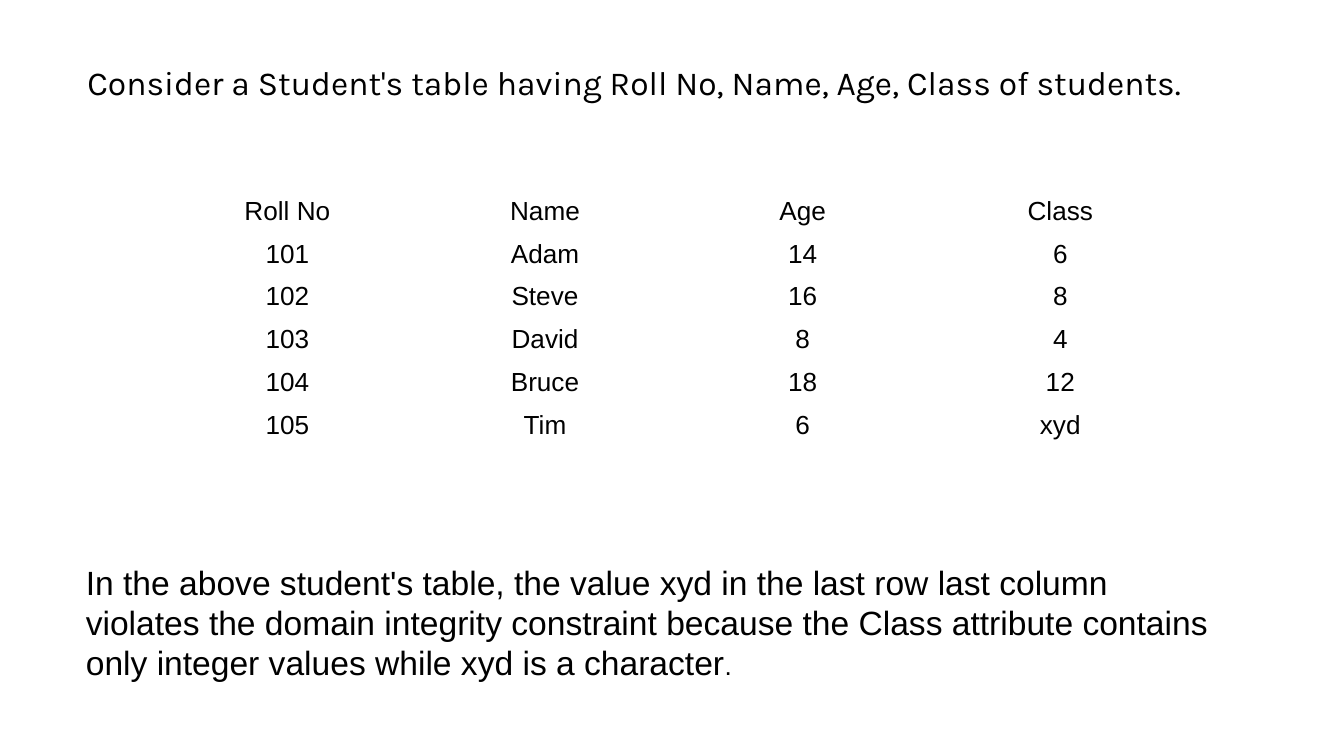
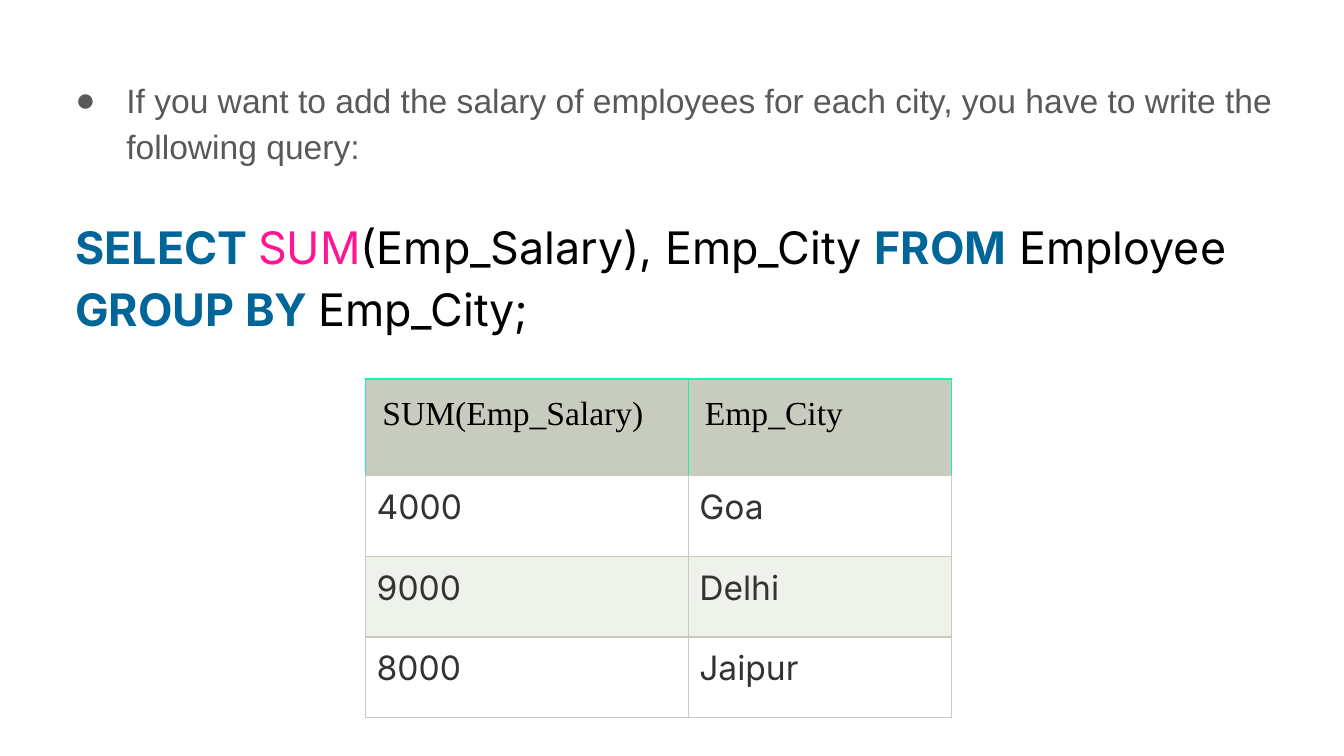
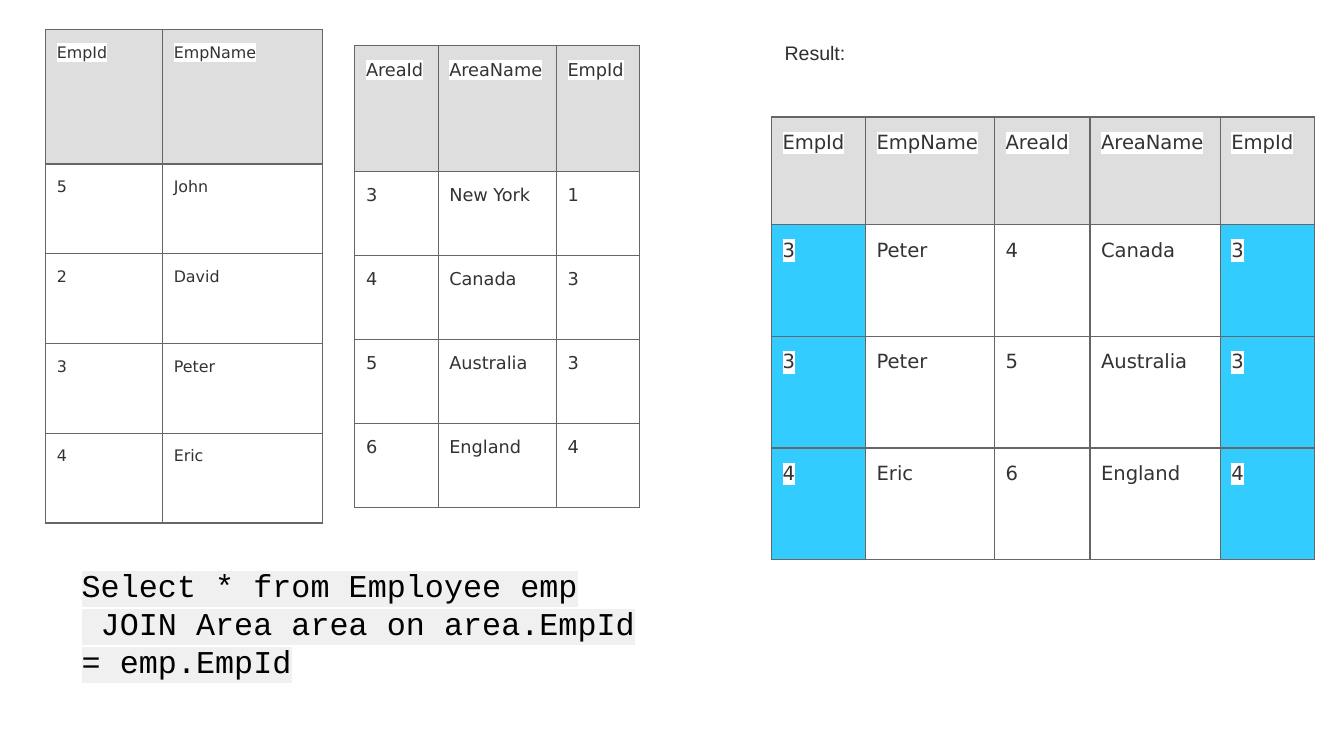
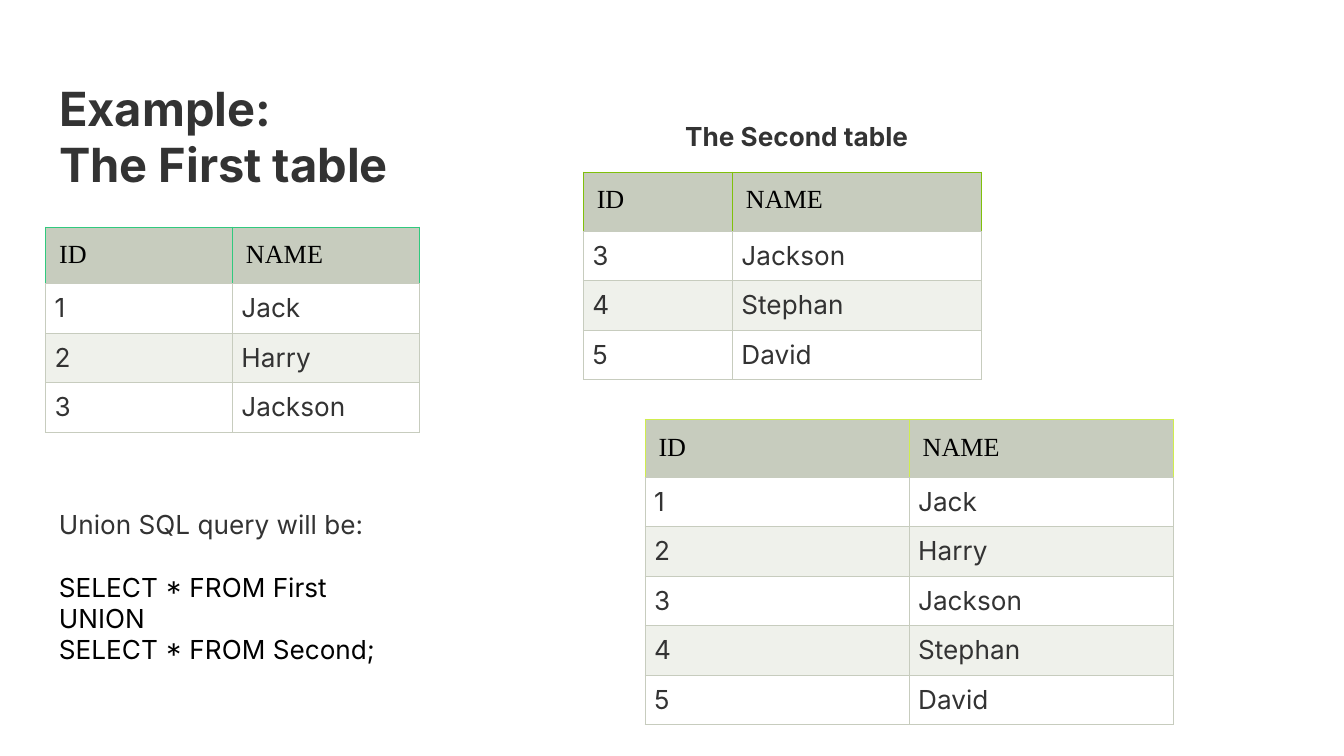
from lxml import etree
from pptx import Presentation
from pptx import util as u
from pptx.dml import color as dml
from pptx.enum import text as t
from pptx.oxml import ns

COLORS = {
    "black": "000000", "ink": "333333", "gray": "595959", "result": "2E2E2E",
    "white": "FFFFFF", "sage": "C7CCBE", "pale": "EFF1EB", "silver": "DEDEDE",
    "rule": "666666", "cyan": "33CCFF", "code": "F0F0F0",
    "keyword": "006699", "function": "FF1493",
    "mint": "20EEAC", "green": "30C97E", "lime": "80C00C", "yellow": "D0ED4E",
}
LEFT, CENTER, JUSTIFY = t.PP_ALIGN.LEFT, t.PP_ALIGN.CENTER, t.PP_ALIGN.JUSTIFY

deck = Presentation()
deck.slide_width, deck.slide_height = u.Inches(10), u.Inches(5.625)
unit = deck.slide_width / 100  # square grid, 100 columns across the slide


def grid(*cells):
    return [int(cell * unit) for cell in cells]


def write(para, words, font, size, color, bold=False, align=LEFT,
          spacing=1.0, before=0, mark=None):
    para.text = words
    para.alignment, para.line_spacing = align, spacing
    para.space_before = u.Pt(before)
    para.font.name, para.font.size, para.font.bold = font, u.Pt(size), bold
    para.font.color.rgb = dml.RGBColor.from_string(COLORS[color])
    if mark:
        for span in para.runs:
            highlight = etree.SubElement(span.font._element if hasattr(span.font, "_element")
                                         else span._r.get_or_add_rPr(), ns.qn("a:highlight"))
            etree.SubElement(highlight, ns.qn("a:srgbClr"), val=COLORS[mark])


# Slides and their placeholders
domain, salary, join, union = [deck.slides.add_slide(deck.slide_layouts[number])
                               for number in (1, 1, 6, 5)]
for page in (domain, salary):
    title = page.shapes.title.element
    title.getparent().remove(title)
intro, query, heading = domain.placeholders[1], salary.placeholders[1], union.shapes.title
for holder, place, inset in ((intro, (5.5, 4.1, 91.7, 7.1), 0.5),
                             (query, (3.4, 4.5, 93.2, 45.5), 1),
                             (heading, (3.4, 4.9, 93.2, 6.3), 1)):
    holder.left, holder.top, holder.width, holder.height = grid(*place)
    frame = holder.text_frame
    frame.auto_size, frame.vertical_anchor = t.MSO_AUTO_SIZE.NONE, t.MSO_ANCHOR.TOP
    frame.margin_top, frame.margin_bottom = grid(inset, inset)

# Domain example: opening sentence
para = intro.text_frame.paragraphs[0]
props = para._p.get_or_add_pPr()
props.set("marL", "0")
props.set("indent", "0")
etree.SubElement(props, ns.qn("a:buNone"))
write(para, "Consider a Student's table having Roll No, Name, Age, Class of students.",
      "Karla", 18, "black")

# Salary query: bullet, then two lines of SQL
para = query.text_frame.paragraphs[0]
props = para._p.get_or_add_pPr()
props.set("marL", str(u.Inches(0.5)))
props.set("indent", str(u.Inches(-0.38)))
bullet_color = etree.SubElement(props, ns.qn("a:buClr"))
etree.SubElement(bullet_color, ns.qn("a:srgbClr"), val=COLORS["gray"])
etree.SubElement(props, ns.qn("a:buChar"), char="●")
write(para, "If you want to add the salary of employees for each city, "
      "you have to write the following query:", "Arial", 18, "gray", spacing=1.15)

sql = [
    (24, [("SELECT ", "keyword"), ("SUM", "function"), ("(Emp_Salary), Emp_City ", "black"),
          ("FROM", "keyword"), (" Employee", "black")]),
    (0, [("GROUP BY ", "keyword"), ("Emp_City;", "black")]),
]
for before, spans in sql:
    para = query.text_frame.add_paragraph()
    props = para._p.get_or_add_pPr()
    props.set("marL", str(u.Inches(0.12)))
    props.set("indent", "0")
    etree.SubElement(props, ns.qn("a:buNone"))
    write(para, "", "Inter", 24, "black", align=JUSTIFY, spacing=1.15, before=before)
    for words, color in spans:
        span = para.add_run()
        span.text = words
        span.font.bold = color == "keyword"
        span.font.color.rgb = dml.RGBColor.from_string(COLORS[color])

# Union example: title
write(heading.text_frame.paragraphs[0], "Example:\vThe First table", "Inter", 25.2, "ink", bold=True)

# Table looks: (font, colour, fill, alignment, padding in points) for head and body
LOOKS = {
    "plain": dict(head=("Arial", "black", None, CENTER, 3.6),
                  body=("Arial", "black", None, CENTER, 3.6),
                  line=None, weight=0, spacing=1.0, mark=None),
    "salary": dict(head=("Times New Roman", "black", "sage", LEFT, 9),
                   body=("Inter", "ink", "white", JUSTIFY, 6),
                   line="sage", weight=0.75, spacing=1.0, mark=None),
    "union": dict(head=("Times New Roman", "black", "sage", LEFT, 7.2),
                  body=("Inter", "ink", "white", JUSTIFY, 4.8),
                  line="sage", weight=0.6, spacing=1.0, mark=None),
    "join": dict(head=("DejaVu Sans", "ink", "silver", LEFT, 6),
                 body=("DejaVu Sans", "ink", "white", LEFT, 6),
                 line="rule", weight=0.75, spacing=1.15, mark="white"),
}
people = [("1", "Jack"), ("2", "Harry"), ("3", "Jackson"), ("4", "Stephan"), ("5", "David")]

# Page, look, text size, head border, (left, top), column widths, (head, body) heights, rows
tables = [
    (domain, "plain", 14, None, (11.8, 14.1), [19.17] * 4, (3.2, 3.2),
     [("Roll No", "Name", "Age", "Class"), ("101", "Adam", "14", "6"),
      ("102", "Steve", "16", "8"), ("103", "David", "8", "4"),
      ("104", "Bruce", "18", "12"), ("105", "Tim", "6", "xyd")]),
    (salary, "salary", 18, "mint", (27.2, 28.2), [24, 19.6], (7.2, 6),
     [("SUM(Emp_Salary)", "Emp_City"), ("4000", "Goa"), ("9000", "Delhi"), ("8000", "Jaipur")]),
    (join, "join", 8.5, "rule", (3.4, 2.2), [8.7, 11.9], (10, 6.68),
     [("EmpId", "EmpName"), ("5", "John"), ("2", "David"), ("3", "Peter"), ("4", "Eric")]),
    (join, "join", 9.5, "rule", (26.4, 3.4), [6.2, 8.8, 6.2], (9.35, 6.25),
     [("AreaId", "AreaName", "EmpId"), ("3", "New York", "1"), ("4", "Canada", "3"),
      ("5", "Australia", "3"), ("6", "England", "4")]),
    (join, "join", 10.5, "rule", (57.4, 8.7), [7, 9.6, 7.1, 9.7, 7], (8, 8.32),
     [("EmpId", "EmpName", "AreaId", "AreaName", "EmpId"), ("3", "Peter", "4", "Canada", "3"),
      ("3", "Peter", "5", "Australia", "3"), ("4", "Eric", "6", "England", "4")]),
    (union, "union", 14, "green", (3.4, 16.9), [13.9, 13.9], (4.2, 3.68),
     [("ID", "NAME")] + people[:3]),
    (union, "union", 14, "lime", (43.4, 12.8), [11.1, 18.5], (4.4, 3.68),
     [("ID", "NAME")] + people[2:]),
    (union, "union", 14, "yellow", (48, 31.2), [19.65, 19.65], (4.3, 3.68),
     [("ID", "NAME")] + people),
]
for page, look, size, accent, corner, widths, (head, body), rows in tables:
    style = LOOKS[look]
    heights = [head] + [body] * (len(rows) - 1)
    table = page.shapes.add_table(len(rows), len(widths),
                                  *grid(*corner, sum(widths), sum(heights))).table
    table.first_row = table.horz_banding = False
    for column, width in zip(table.columns, grid(*widths)):
        column.width = width
    for row, height in zip(table.rows, grid(*heights)):
        row.height = height
    for r, row in enumerate(rows):
        font, color, fill, align, pad = style["body" if r else "head"]
        for c, words in enumerate(row):
            cell = table.cell(r, c)
            if look == "plain":
                cell.vertical_anchor = t.MSO_ANCHOR.MIDDLE
            else:
                cell.margin_left = cell.margin_right = u.Pt(pad)
            cell.margin_top = cell.margin_bottom = u.Pt(pad)
            write(cell.text_frame.paragraphs[0], words, font, size, color, align=align,
                  spacing=style["spacing"], mark=style["mark"])

            # Borders, with the accent on three sides of each head cell
            for side in "LRTB" if style["line"] else "":
                line = etree.SubElement(cell._tc.get_or_add_tcPr(), ns.qn("a:ln" + side),
                                        w=str(u.Pt(style["weight"])))
                solid = etree.SubElement(line, ns.qn("a:solidFill"))
                tint = accent if r == 0 and side != "B" else style["line"]
                etree.SubElement(solid, ns.qn("a:srgbClr"), val=COLORS[tint])

            # Fill: bands on sage tables, matched keys in the join result
            if not fill:
                cell.fill.background()
                continue
            shade = fill
            if r and r % 2 == 0 and style["line"] == "sage":
                shade = "pale"
            if r and len(widths) == 5 and c in (0, 4):
                shade = "cyan"
            cell.fill.solid()
            cell.fill.fore_color.rgb = dml.RGBColor.from_string(COLORS[shade])

# Text boxes: page, place, vertical inset, font, size, bold, highlight, (words, colour, gap) lines
boxes = [
    (domain, (5.4, 41.3, 86.2, 10.1), 0.5, "Arial", 18, False, None,
     [("In the above student's table, the value xyd in the last row last column violates "
       "the domain integrity constraint because the Class attribute contains only integer "
       "values while xyd is a character", "black", 0)]),
    (join, (5.1, 41.1, 45.6, 10.6), 1, "Courier New", 17, False, "code",
     [("Select * from Employee emp", "black", 0),
      (" JOIN Area area on area.EmpId = emp.EmpId", "black", 0)]),
    (join, (57.4, 2.2, 32.8, 3.8), 1, "Arial", 10.5, False, "white",
     [("Result:", "result", 0)]),
    (union, (50, 8.5, 50, 3.4), 0.5, "Inter", 14, True, None,
     [("The Second table", "ink", 0)]),
    (union, (3.4, 37.3, 66.6, 12.8), 0.5, "Inter", 14, False, None,
     [("Union SQL query will be:", "ink", 0), ("SELECT * FROM First", "black", 17),
      ("UNION", "black", 0), ("SELECT * FROM Second;", "black", 0)]),
]
for page, place, inset, font, size, bold, mark, lines in boxes:
    frame = page.shapes.add_textbox(*grid(*place)).text_frame
    frame.word_wrap = True
    frame.margin_top, frame.margin_bottom = grid(inset, inset)
    for number, (words, color, before) in enumerate(lines):
        para = frame.add_paragraph() if number else frame.paragraphs[0]
        write(para, words, font, size, color, bold=bold, before=before, mark=mark)
    if page is domain:
        stop = para.add_run()
        stop.text, stop.font.size = ".", u.Pt(14)

deck.save("out.pptx")
